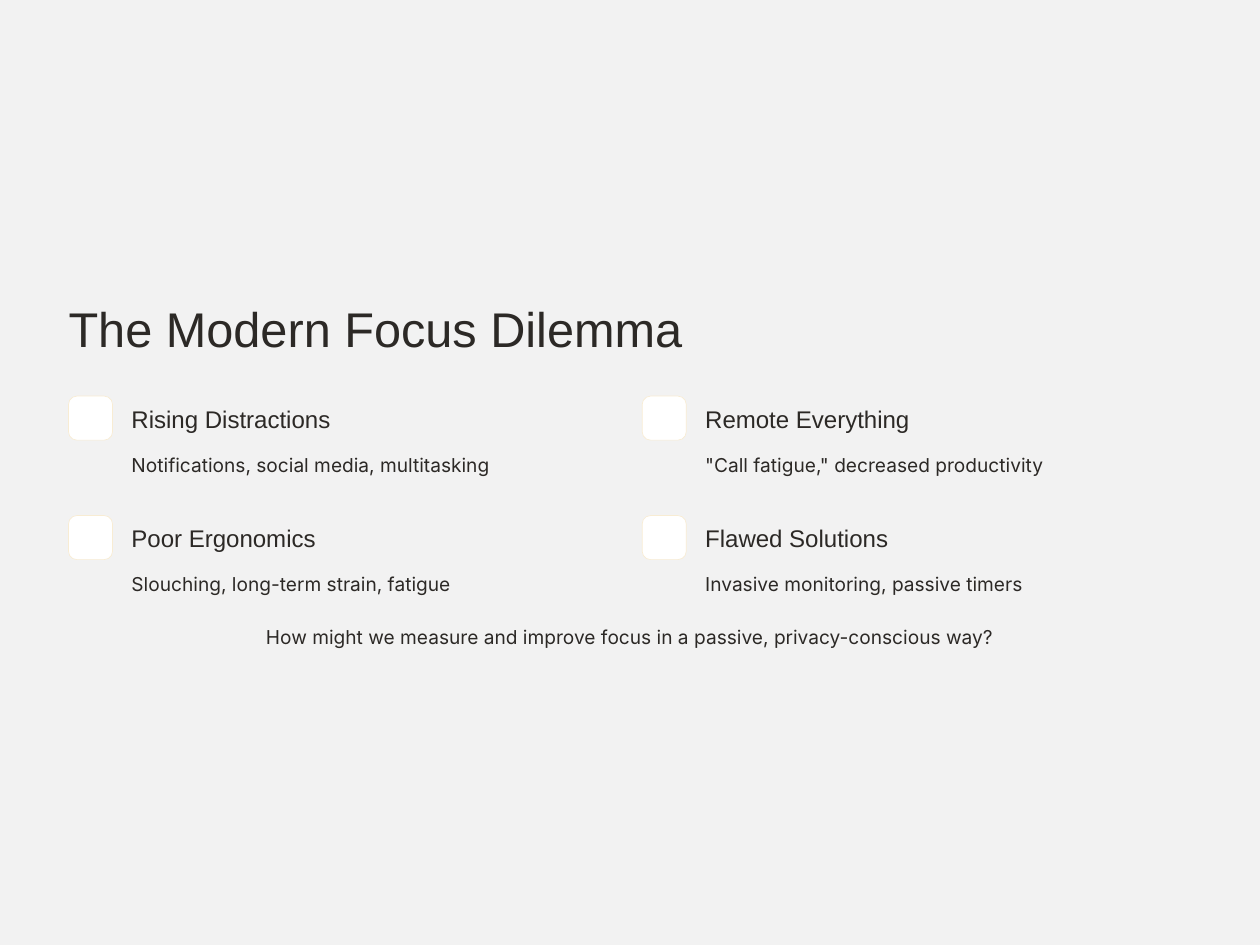
import pptx
import pptx.dml.color
import pptx.enum.shapes
import pptx.enum.text
import pptx.util

Inches, Pt = pptx.util.Inches, pptx.util.Pt
RGB = pptx.dml.color.RGBColor.from_string
MSO_SHAPE = pptx.enum.shapes.MSO_SHAPE
PP_ALIGN = pptx.enum.text.PP_ALIGN

COLORS = {"background": "F2F2F2", "text": "2C2926", "tile": "FFFFFF", "border": "F8ECD3"}
STYLES = {
    "title": {"font": {"name": "Arial", "size": Pt(44.5)}, "spacing": Pt(55.5)},
    "heading": {"font": {"name": "Arial", "size": Pt(22)}, "spacing": Pt(27.5)},
    "body": {"font": {"name": "Inter", "size": Pt(17.5)}, "spacing": Pt(28.5)},
}
FRAME = {
    "margin_left": 0, "margin_top": 0, "margin_right": 0, "margin_bottom": 0,
    "word_wrap": False,
    "auto_size": pptx.enum.text.MSO_AUTO_SIZE.NONE,
    "vertical_anchor": pptx.enum.text.MSO_ANCHOR.TOP,
}
LEFT, TOP = 0.87, 5.03
COLUMN_STEP, ROW_STEP = 7.285, 1.517
TILE_SIZE = 0.56
PROBLEMS = [
    ("Rising Distractions", "Notifications, social media, multitasking"),
    ("Remote Everything", '"Call fatigue," decreased productivity'),
    ("Poor Ergonomics", "Slouching, long-term strain, fatigue"),
    ("Flawed Solutions", "Invasive monitoring, passive timers"),
]


def set_attributes(target, values):
    for name, value in values.items():
        setattr(target, name, value)


def write_text(sp, text, style, align=PP_ALIGN.LEFT):
    tf = sp.text_frame
    set_attributes(tf, FRAME)
    p = tf.paragraphs[0]
    set_attributes(p, {"alignment": align, "line_spacing": STYLES[style]["spacing"]})
    r = p.add_run()
    r.text = text
    set_attributes(r.font, STYLES[style]["font"])
    r.font.color.rgb = RGB(COLORS["text"])


def add_title(s, text, left, top, width, height):
    sp = s.shapes.title
    set_attributes(sp, {"left": Inches(left), "top": Inches(top),
                        "width": Inches(width), "height": Inches(height)})
    write_text(sp, text, "title")


def add_text(s, text, style, left, top, width, height, align=PP_ALIGN.LEFT):
    sp = s.shapes.add_textbox(Inches(left), Inches(top), Inches(width), Inches(height))
    write_text(sp, text, style, align)


def add_tile(s, left, top):
    sp = s.shapes.add_shape(MSO_SHAPE.ROUNDED_RECTANGLE, Inches(left), Inches(top),
                            Inches(TILE_SIZE), Inches(TILE_SIZE))
    sp.adjustments[0] = 0.19
    sp.shadow.inherit = False
    sp.fill.solid()
    sp.fill.fore_color.rgb = RGB(COLORS["tile"])
    sp.line.color.rgb = RGB(COLORS["border"])
    sp.line.width = Pt(0.6)


def add_problem(s, index, heading, detail):
    row, column = divmod(index, 2)
    left, top = LEFT + column * COLUMN_STEP, TOP + row * ROW_STEP
    add_tile(s, left, top)
    add_text(s, heading, "heading", left + 0.8, top + 0.09, 3.1, 0.39)
    add_text(s, detail, "body", left + 0.8, top + 0.62, 6.17, 0.4)


def main():
    """Build the slide on the modern focus dilemma."""
    prs = pptx.Presentation()
    prs.slide_width, prs.slide_height = Inches(16), Inches(12)
    s = prs.slides.add_slide(prs.slide_layouts[5])
    s.background.fill.solid()
    s.background.fill.fore_color.rgb = RGB(COLORS["background"])
    add_title(s, "The Modern Focus Dilemma", LEFT, 3.76, 8.29, 0.78)
    for index, (heading, detail) in enumerate(PROBLEMS):
        add_problem(s, index, heading, detail)
    add_text(s, "How might we measure and improve focus in a passive, privacy-conscious way?",
             "body", LEFT, 7.84, 14.26, 0.4, PP_ALIGN.CENTER)
    prs.save("out.pptx")


if __name__ == "__main__":
    main()
